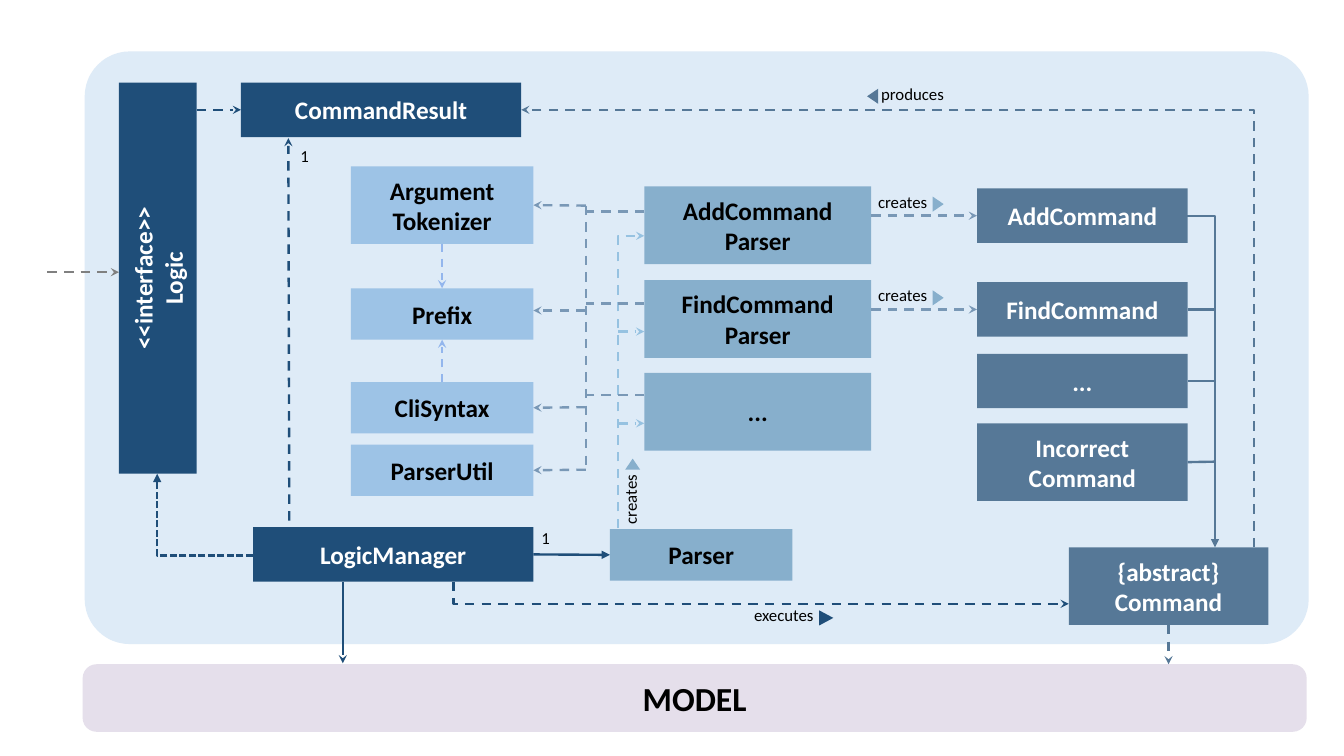
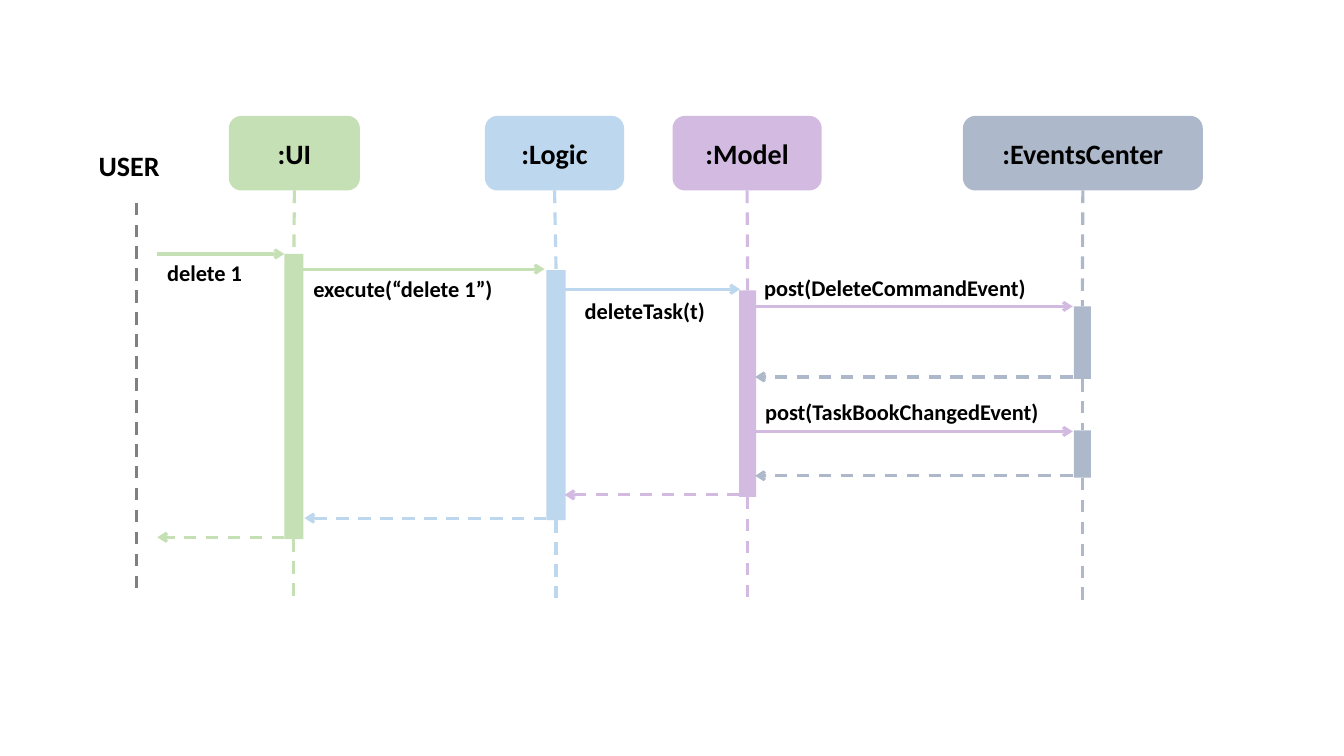
from lxml.etree import SubElement
from pptx import Presentation
from pptx.dml.color import RGBColor
from pptx.enum.dml import MSO_LINE
from pptx.enum.shapes import MSO_CONNECTOR, MSO_SHAPE
from pptx.enum.text import MSO_ANCHOR, PP_ALIGN
from pptx.oxml.ns import qn
from pptx.util import Inches, Pt

FONT = "Calibri"
BLACK, WHITE, GREY = "000000", "FFFFFF", "808080"
# Component diagram colours
NAVY, SKY, STEEL, SLATE = "1F4E79", "9DC3E6", "87AFCC", "567897"
PANEL, MODEL_BAND = "DEEBF7", "E5DFEB"
USES, CREATES, HELPS = "7998B6", "96C2E1", "93B6ED"
# Sequence diagram colours
GREEN, BLUE, PURPLE, BLUE_GREY = "C5E0B4", "BDD7EE", "D3BAE1", "ADB9CA"

# Component boxes: fill, text colour, then text with left, top, width, height
COMPONENTS = [
    (NAVY, WHITE, [
        ("CommandResult", 2.39, 0.82, 2.78, 0.54),
        ("LogicManager", 2.51, 5.23, 2.78, 0.54)]),
    (SKY, BLACK, [
        ("Argument Tokenizer", 3.48, 1.65, 1.81, 0.77),
        ("CliSyntax", 3.48, 3.79, 1.81, 0.51),
        ("Prefix", 3.48, 2.86, 1.81, 0.51),
        ("ParserUtil", 3.48, 4.41, 1.81, 0.51)]),
    (STEEL, BLACK, [
        ("Parser", 6.05, 5.25, 1.81, 0.51),
        ("AddCommand Parser", 6.39, 1.85, 2.25, 0.77),
        ("FindCommand Parser", 6.39, 2.78, 2.25, 0.77),
        ("...", 6.39, 3.7, 2.25, 0.77)]),
    (SLATE, WHITE, [
        ("AddCommand", 9.69, 1.87, 2.09, 0.54),
        ("FindCommand", 9.69, 2.8, 2.09, 0.54),
        ("...", 9.69, 3.51, 2.09, 0.54),
        ("Incorrect Command", 9.69, 4.2, 2.09, 0.77),
        ("{abstract} Command", 10.6, 5.43, 1.98, 0.77)]),
]

# Straight arrows: start, end, colour, format
ARROWS = [
    ((1.95, 1.09), (2.39, 1.09), NAVY, dict(tail="stealth")),
    ((2.87, 5.33), (2.86, 1.37), NAVY, dict(tail="stealth")),
    ((5.29, 5.51), (6.05, 5.51), NAVY, dict(dash=None, tail="triangle")),
    ((0.47, 2.7), (1.18, 2.7), GREY, dict(tail="stealth")),
    ((4.38, 3.79), (4.38, 3.37), HELPS, dict(tail="stealth", weight=1.5)),
    ((4.38, 2.42), (4.38, 2.86), HELPS, dict(tail="stealth", weight=1.5)),
    ((3.4, 5.77), (3.4, 6.58), NAVY, dict(dash=None, tail="stealth")),
    ((11.59, 6.2), (11.59, 6.59), SLATE, dict(tail="stealth")),
]
TOOL_BUS, COMMAND_BUS, PARSER_BUS = 5.81, 12.05, 6.13
TOOL_ROWS = [2.04, 3.08, 4.04, 4.66]
PARSER_ROWS = [2.1, 3.01, 3.92]
PARSER_CREATED_ROWS = [3.29, 4.2]
COMMAND_CREATED_ROWS = [2.14, 3.07]
COMMAND_ROWS = [3.07, 3.78, 4.58]

# Bent arrows: start, end, colour, first leg, format
BENDS = [
    ((PARSER_BUS, 5.24), (6.39, 2.34), CREATES, "down", dict(tail="stealth")),
    ((2.51, 5.51), (1.56, 4.7), NAVY, "across",
     dict(dash=MSO_LINE.SQUARE_DOT, tail="triangle")),
    ((4.5, 5.77), (10.6, 5.99), NAVY, "down", dict(tail="stealth")),
    ((12.44, 5.43), (5.17, 1.09), SLATE, "down", dict(tail="stealth")),
    ((11.77, 2.14), (COMMAND_BUS, 5.43), SLATE, "across",
     dict(dash=None, tail="triangle")),
]

ARROW_LABELS = [
    ("creates", 8.61, 1.85, 0.71, 0.3, None),
    ("creates", 8.61, 2.78, 0.71, 0.3, None),
    ("creates", 6.1, 4.59, 0.3, 0.71, "vert270"),
    ("executes", 7.38, 5.95, 0.85, 0.3, None),
    ("produces", 8.64, 0.78, 0.87, 0.3, None),
    ("1", 5.27, 5.19, 0.29, 0.3, None),
    ("1", 2.88, 1.4, 0.29, 0.3, None),
]
# Direction markers: left, top, width, height, rotation, colour
MARKERS = [
    (9.23, 1.97, 0.15, 0.11, 90, STEEL),
    (9.23, 2.9, 0.15, 0.11, 90, STEEL),
    (6.2, 4.55, 0.15, 0.11, 0, STEEL),
    (8.12, 6.06, 0.15, 0.14, 90, NAVY),
    (8.58, 0.9, 0.15, 0.11, 270, SLATE),
]

# Participants: name, left, width, colour, bar left, bar width, bars, lifeline end
HEAD_TOP, HEAD_HEIGHT = 1.15, 0.74
PARTICIPANTS = [
    (":UI", 2.27, 1.3, GREEN, 2.82, 0.19, [(2.52, 5.35)], 5.92),
    (":Logic", 4.81, 1.38, BLUE, 5.42, 0.19, [(2.68, 5.16)], 5.96),
    (":Model", 6.67, 1.48, PURPLE, 7.33, 0.17, [(2.88, 4.93)], 5.92),
    (":EventsCenter", 9.55, 2.38, BLUE_GREY, 10.65, 0.17,
     [(3.04, 3.76), (4.27, 4.74)], 5.96),
]
# Messages: from x, to x, y, colour
CALLS = [
    (1.56, 2.82, 2.52, GREEN),
    (2.99, 5.4, 2.67, GREEN),
    (5.6, 7.34, 2.87, BLUE),
    (7.49, 10.64, 3.04, PURPLE),
    (7.49, 10.64, 4.28, PURPLE),
]
RETURNS = [
    (10.64, 7.49, 3.74, BLUE_GREY),
    (10.64, 7.49, 4.72, BLUE_GREY),
    (7.34, 5.6, 4.91, PURPLE),
    (5.42, 3.02, 5.14, BLUE),
    (2.82, 1.56, 5.33, GREEN),
]
MESSAGE_LABELS = [
    ("USER", 0.88, 1.42, 0.94, 20),
    ("delete 1", 1.56, 2.52, 0.98, 16),
    ("execute(“delete 1”)", 3.01, 2.68, 2.34, 16),
    ("deleteTask(t)", 5.7, 2.9, 1.78, 16),
    ("post(DeleteCommandEvent)", 7.48, 2.67, 3.17, 16),
    ("post(TaskBookChangedEvent)", 7.49, 3.9, 3.17, 16),
]


def colour(value):
    return RGBColor.from_string(value)


def write(shape, text, size=18, ink=BLACK, bold=True, align=PP_ALIGN.CENTER,
          anchor=MSO_ANCHOR.MIDDLE, direction=None):
    frame = shape.text_frame
    frame.word_wrap = True
    frame.vertical_anchor = anchor
    if direction:
        frame._txBody.bodyPr.set("vert", direction)
    for index, words in enumerate(text.split("\n")):
        para = frame.add_paragraph() if index else frame.paragraphs[0]
        para.alignment = align
        span = para.add_run()
        span.text = words
        span.font.name, span.font.size, span.font.bold = FONT, Pt(size), bold
        span.font.color.rgb = colour(ink)


def add_box(page, left, top, width, height, fill, text="",
            kind=MSO_SHAPE.RECTANGLE, corner=None, rotation=0, **style):
    box = page.shapes.add_shape(
        kind, Inches(left), Inches(top), Inches(width), Inches(height))
    box.shadow.inherit = False
    box.fill.solid()
    box.fill.fore_color.rgb = colour(fill)
    box.line.fill.background()
    box.rotation = rotation
    if corner is not None:
        box.adjustments[0] = corner
    if text:
        write(box, text, **style)
    return box


def add_label(page, text, left, top, width, height, **style):
    label = page.shapes.add_textbox(
        Inches(left), Inches(top), Inches(width), Inches(height))
    write(label, text, align=PP_ALIGN.LEFT, anchor=MSO_ANCHOR.TOP, **style)


def find_side(boxes, point):
    """Return the box and side number whose middle lies at the point."""
    x, y = Inches(point[0]), Inches(point[1])
    for box in boxes:
        middle_x, middle_y = box.left + box.width // 2, box.top + box.height // 2
        sides = [(middle_x, box.top), (box.left, middle_y),
                 (middle_x, box.top + box.height), (box.left + box.width, middle_y)]
        for number, (side_x, side_y) in enumerate(sides):
            if max(abs(x - side_x), abs(y - side_y)) < Inches(0.02):
                return box, number
    return None


def add_line(page, start, end, ink, boxes=(), bend=None, dash=MSO_LINE.DASH,
             tail=None, weight=1.7):
    kind = MSO_CONNECTOR.ELBOW if bend else MSO_CONNECTOR.STRAIGHT
    line = page.shapes.add_connector(
        kind, *[Inches(value) for value in (*start, *end)])
    line.line.color.rgb = colour(ink)
    line.line.width = Pt(weight)
    if dash is not None:
        line.line.dash_style = dash
    properties = line._element.spPr
    if tail:
        SubElement(properties.find(qn("a:ln")), qn("a:tailEnd"), type=tail)
    SubElement(properties, qn("a:effectLst"))
    # A bend is one corner: across then down, or down then across
    geometry = properties.find(qn("a:prstGeom"))
    if bend == "across":
        geometry.set("prst", "bentConnector2")
    elif bend == "down":
        SubElement(geometry.find(qn("a:avLst")), qn("a:gd"),
                   name="adj1", fmla="val 0")
    for point, join in ((start, line.begin_connect), (end, line.end_connect)):
        side = find_side(boxes, point)
        if side:
            join(*side)


def build_components(page):
    # Panel, boxes and model band
    rounded = MSO_SHAPE.ROUNDED_RECTANGLE
    add_box(page, 0.84, 0.51, 12.14, 5.88, PANEL, kind=rounded, corner=0.076)
    boxes = [add_box(page, 1.18, 0.82, 0.77, 3.88, NAVY, "<<interface>>\nLogic",
                     ink=WHITE, direction="vert270")]
    for fill, ink, members in COMPONENTS:
        for text, *place in members:
            boxes.append(add_box(page, *place, fill, text, ink=ink))
    add_box(page, 0.82, 6.59, 12.14, 0.67, MODEL_BAND, "MODEL",
            kind=rounded, corner=0.206, size=24)

    # Arrows between boxes
    for start, end, ink, style in ARROWS:
        add_line(page, start, end, ink, boxes, **style)
    for start, end, ink, bend, style in BENDS:
        add_line(page, start, end, ink, bend=bend, **style)

    # Branches to and from the shared vertical lines
    add_line(page, (TOOL_BUS, TOOL_ROWS[0]), (TOOL_BUS, TOOL_ROWS[-1]), USES)
    branches = [
        (TOOL_ROWS, TOOL_BUS, 5.29, USES, dict(tail="stealth")),
        (PARSER_ROWS, 6.39, TOOL_BUS, USES, {}),
        (PARSER_CREATED_ROWS, PARSER_BUS, 6.39, CREATES, dict(tail="stealth")),
        (COMMAND_CREATED_ROWS, 8.64, 9.69, USES, dict(tail="stealth")),
        (COMMAND_ROWS, 11.78, COMMAND_BUS, SLATE, dict(dash=None)),
    ]
    for rows, start_x, end_x, ink, style in branches:
        for y in rows:
            add_line(page, (start_x, y), (end_x, y), ink, boxes, **style)

    # Arrow labels and direction markers
    for text, *place, direction in ARROW_LABELS:
        add_label(page, text, *place, size=12, bold=False, direction=direction)
    for *place, rotation, fill in MARKERS:
        add_box(page, *place, fill, kind=MSO_SHAPE.ISOSCELES_TRIANGLE,
                rotation=rotation)


def build_sequence(page):
    # Participants with their bars and lifelines
    for name, left, width, fill, bar_left, bar_width, bars, end in PARTICIPANTS:
        boxes = [add_box(page, left, HEAD_TOP, width, HEAD_HEIGHT, fill, name,
                         kind=MSO_SHAPE.ROUNDED_RECTANGLE, size=20)]
        axis = bar_left + bar_width / 2
        for top, bottom in bars:
            boxes.append(add_box(page, bar_left, top, bar_width, bottom - top, fill))
        starts = [HEAD_TOP + HEAD_HEIGHT] + [bottom for top, bottom in bars]
        stops = [top for top, bottom in bars] + [end]
        for start, stop in zip(starts, stops):
            add_line(page, (axis, start), (axis, stop), fill, boxes, weight=2.25)
    add_line(page, (1.35, 2.01), (1.35, 5.92), GREY, weight=2.25)

    # Calls are solid, returns are dashed
    for messages, dash in ((CALLS, None), (RETURNS, MSO_LINE.DASH)):
        for start_x, end_x, y, ink in messages:
            add_line(page, (start_x, y), (end_x, y), ink, dash=dash,
                     tail="arrow", weight=2.25)
    for text, left, top, width, size in MESSAGE_LABELS:
        add_label(page, text, left, top, width, 0.37, size=size)


def main():
    deck = Presentation()
    deck.slide_width, deck.slide_height = Inches(13.33), Inches(7.5)
    blank = deck.slide_layouts[6]
    for build in (build_components, build_sequence):
        build(deck.slides.add_slide(blank))
    deck.save("out.pptx")


if __name__ == "__main__":
    main()
